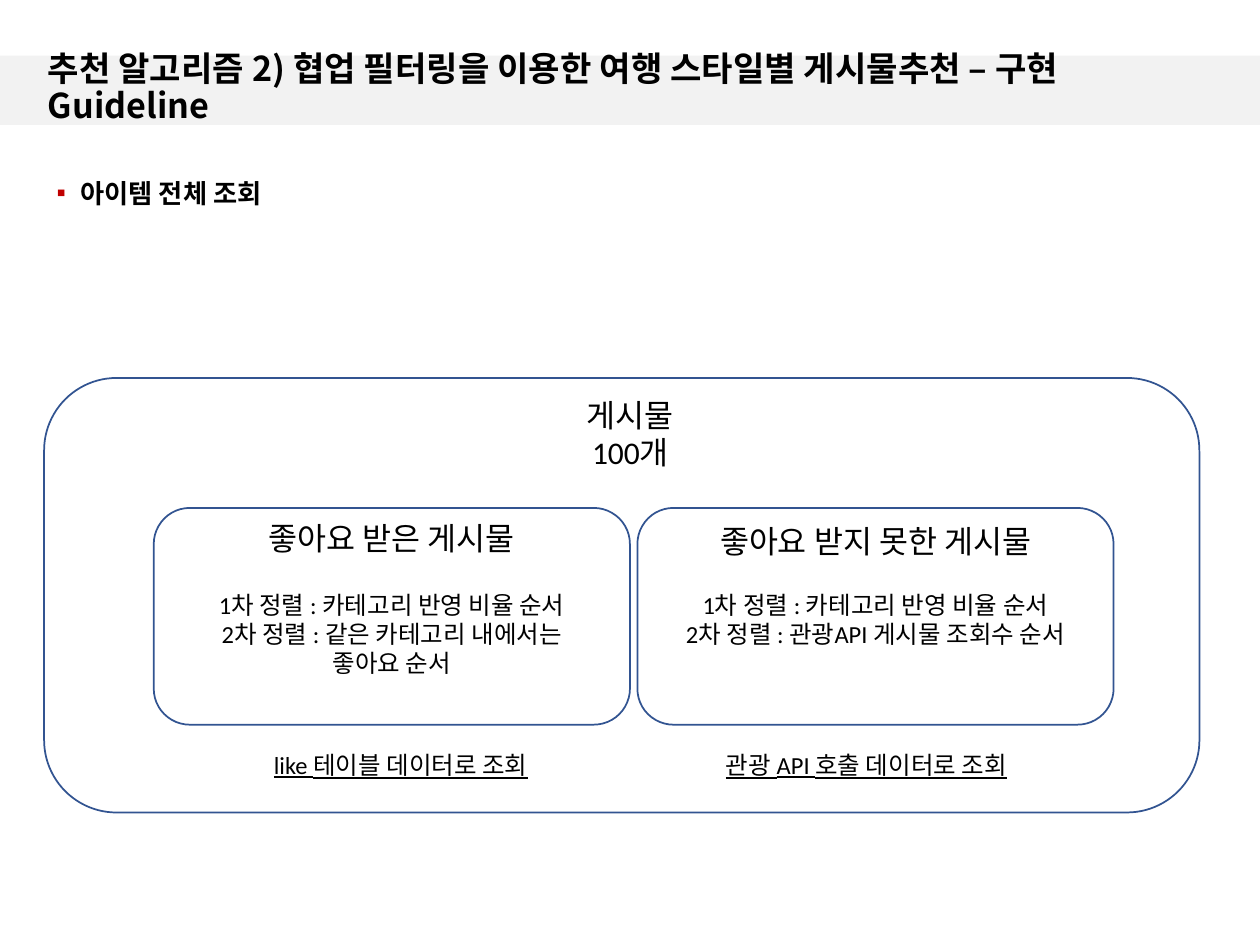
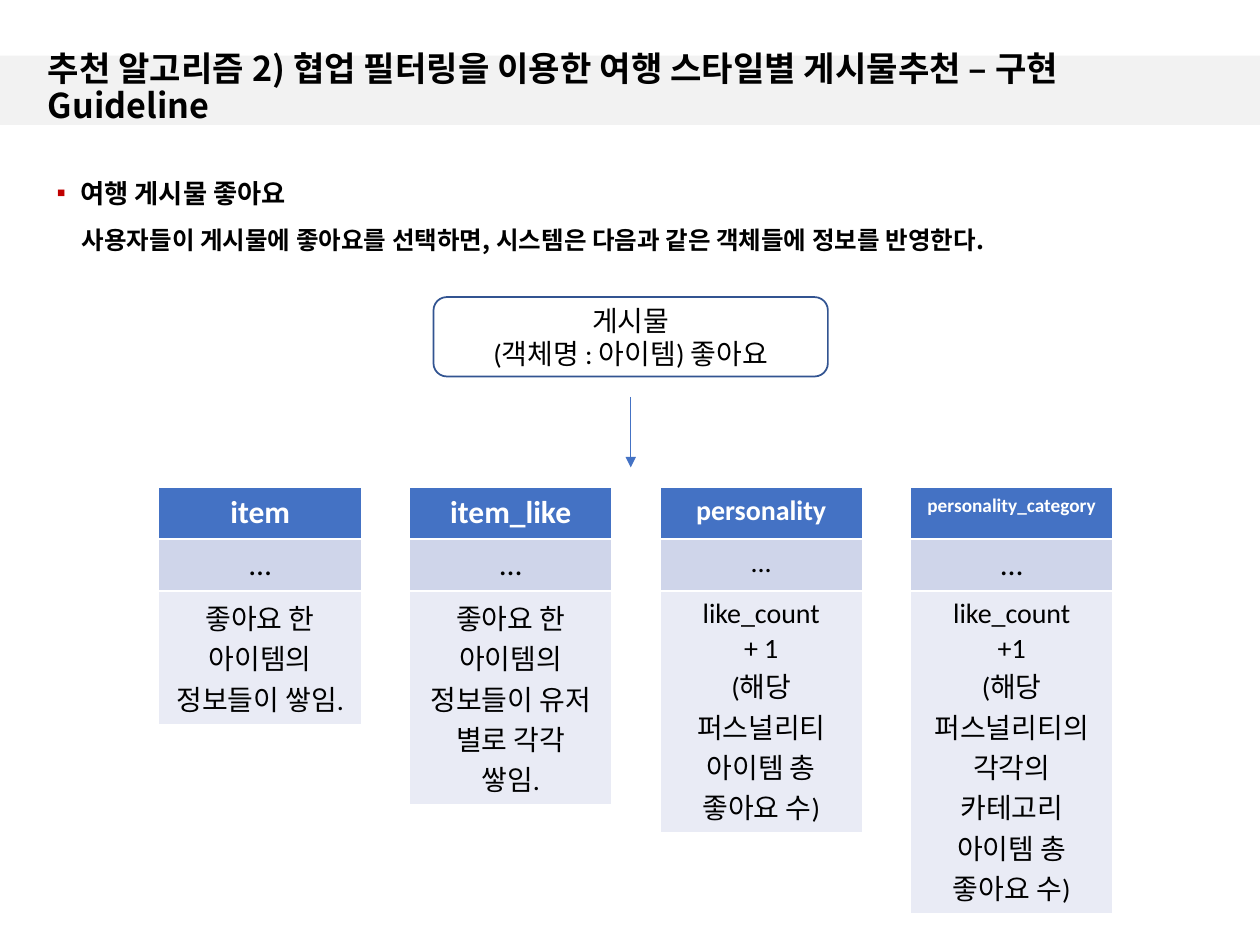
from lxml import etree
from pptx import Presentation
from pptx.dml.color import RGBColor
from pptx.enum import shapes, text
from pptx.oxml import ns
from pptx.util import Cm, Pt

BLACK = RGBColor(0x00, 0x00, 0x00)
WHITE = RGBColor(0xFF, 0xFF, 0xFF)
BAND_GREY = RGBColor(0xF2, 0xF2, 0xF2)
OUTLINE_BLUE = RGBColor(0x32, 0x54, 0x91)
HEADER_BLUE = RGBColor(0x44, 0x72, 0xC4)
ROW_BLUE = RGBColor(0xCF, 0xD5, 0xEA)
ROW_LIGHT = RGBColor(0xE9, 0xEB, 0xF5)
BULLET_RED = "C00000"

TITLE_FONT = "Noto Sans CJK KR"
BODY_FONT = "Calibri"
TITLE = "추천 알고리즘 2) 협업 필터링을 이용한 여행 스타일별 게시물추천 – 구현 Guideline"


def place(shape, left, top, width, height):
    shape.left, shape.top = Cm(left), Cm(top)
    shape.width, shape.height = Cm(width), Cm(height)


def write(frame, lines, size, bold=False, underline=False, color=BLACK,
          name=BODY_FONT, align=text.PP_ALIGN.CENTER):
    """Fill a text frame with one paragraph per line, all in one style."""
    frame.text = "\n".join(lines)
    frame.word_wrap = True
    for paragraph in frame.paragraphs:
        paragraph.alignment = align
        font = paragraph.font
        font.name, font.size, font.color.rgb = name, Pt(size), color
        font.bold, font.underline = bold, underline


def add_text(slide, left, top, width, height, lines, size, **style):
    box = slide.shapes.add_textbox(Cm(left), Cm(top), Cm(width), Cm(height))
    write(box.text_frame, lines, size, **style)
    return box


def add_outline(slide, left, top, width, height):
    shape = slide.shapes.add_shape(shapes.MSO_SHAPE.ROUNDED_RECTANGLE,
                                   Cm(left), Cm(top), Cm(width), Cm(height))
    shape.shadow.inherit = False
    shape.fill.background()
    shape.line.color.rgb = OUTLINE_BLUE
    shape.line.width = Pt(1)
    return shape


def style_heading(frame, lines, size):
    """Bold left-aligned text in the title face, vertically centred."""
    write(frame, lines, size, bold=True, name=TITLE_FONT, align=text.PP_ALIGN.LEFT)
    frame.vertical_anchor = text.MSO_ANCHOR.MIDDLE
    frame.auto_size = text.MSO_AUTO_SIZE.NONE
    frame.paragraphs[0].line_spacing = 0.9


def add_bullet(paragraph):
    properties = paragraph._p.get_or_add_pPr()
    indent = Cm(0.48)
    properties.set("marL", str(indent))
    properties.set("indent", str(-indent))
    color = etree.SubElement(properties, ns.qn("a:buClr"))
    etree.SubElement(color, ns.qn("a:srgbClr"), val=BULLET_RED)
    etree.SubElement(properties, ns.qn("a:buChar"), char="▪")


def add_band(slide):
    """Put the grey title band on the layout that the slides share."""
    band = slide.shapes.add_shape(shapes.MSO_SHAPE.RECTANGLE,
                                  Cm(0), Cm(1.12), Cm(25.4), Cm(1.4))
    band.shadow.inherit = False
    band.fill.solid()
    band.fill.fore_color.rgb = BAND_GREY
    band.line.fill.background()
    slide.slide_layout.shapes._spTree.insert(2, band._element)


def add_guideline_slide(presentation, topic):
    slide = presentation.slides.add_slide(presentation.slide_layouts[1])
    title, body = slide.placeholders
    place(title, 0.71, 1.09, 24, 1.42)
    style_heading(title.text_frame, [TITLE], 19.5)

    place(body, 0.89, 3.12, 23.6, 15.14)
    frame = body.text_frame
    frame.text = topic
    add_bullet(frame.paragraphs[0])
    paragraph = frame.paragraphs[0]
    paragraph.line_spacing = 1.5
    paragraph.space_before = Pt(0)
    font = paragraph.font
    font.name, font.size, font.bold, font.color.rgb = BODY_FONT, Pt(15), True, BLACK
    frame.auto_size = text.MSO_AUTO_SIZE.NONE
    return slide


def add_post_group(slide, left, top, width, height, name, name_top,
                   sorting, source, source_shift):
    """Outline one group of posts, with its sort order and its data source."""
    add_outline(slide, left, top, width, height)
    add_text(slide, left, top + name_top, width, 1.02, [name], 18)
    wide_left, wide = left - 0.19, width + 0.38
    add_text(slide, wide_left, top + 1.52, wide, 2.06, sorting, 14)
    add_text(slide, wide_left + source_shift, top + height + 0.38, wide, 0.86,
             [source], 14, underline=True)


def add_post_overview(slide, left, top, width, height):
    add_outline(slide, left, top, width, height)
    add_text(slide, left + 10.26, top + 0.23, 3.12, 1.8, ["게시물\v100개"], 18)
    groups = [
        ("좋아요 받은 게시물", 0.1,
         ["1차 정렬 : 카테고리 반영 비율 순서", "2차 정렬 : 같은 카테고리 내에서는",
          "좋아요 순서"],
         "like 테이블 데이터로 조회", 0.18),
        ("좋아요 받지 못한 게시물", 0.15,
         ["1차 정렬 : 카테고리 반영 비율 순서", "2차 정렬 : 관광API 게시물 조회수 순서"],
         "관광 API 호출 데이터로 조회", -0.18),
    ]
    for index, group in enumerate(groups):
        add_post_group(slide, left + 2.21 + index * 9.75, top + 2.62, 9.6, 4.37, *group)


def add_like_event(slide, left, top, width, height):
    """Draw the like event and the arrow that leaves it."""
    event = add_outline(slide, left, top, width, height)
    write(event.text_frame, ["게시물", "(객체명 : 아이템) 좋아요"], 16)
    event.text_frame.vertical_anchor = text.MSO_ANCHOR.MIDDLE

    middle, bottom = Cm(left + width / 2), top + height
    arrow = slide.shapes.add_connector(shapes.MSO_CONNECTOR.STRAIGHT, middle,
                                       Cm(bottom + 0.41), middle, Cm(bottom + 1.83))
    arrow.line.color.rgb = HEADER_BLUE
    arrow.line.width = Pt(0.5)
    etree.SubElement(arrow.line._get_or_add_ln(), ns.qn("a:tailEnd"), type="triangle")
    etree.SubElement(arrow._element.spPr, ns.qn("a:effectLst"))


def add_object_table(slide, left, top, width, name, name_size, dots, dots_size, effect):
    """Show one object as a header, an ellipsis row and the effect of a like."""
    heights = [1.04, 1.04, 2.3]
    table = slide.shapes.add_table(3, 1, Cm(left), Cm(top), Cm(width),
                                   Cm(sum(heights))).table
    rows = [
        ([name], name_size, HEADER_BLUE, WHITE),
        ([dots], dots_size, ROW_BLUE, BLACK),
        (effect, 16, ROW_LIGHT, BLACK),
    ]
    for index, (lines, size, fill, color) in enumerate(rows):
        table.rows[index].height = Cm(heights[index])
        cell = table.cell(index, 0)
        cell.fill.solid()
        cell.fill.fore_color.rgb = fill
        write(cell.text_frame, lines, size, bold=index == 0, color=color)


def add_object_tables(slide, left, top, width, pitch):
    objects = [
        ("item", 18, "…", 18, ["좋아요 한", "아이템의", "정보들이 쌓임."]),
        ("item_like", 18, "…", 18,
         ["좋아요 한", "아이템의", "정보들이 유저 별로 각각", "쌓임."]),
        ("personality", 16, "...", 16,
         ["like_count", "+ 1", "(해당 퍼스널리티 아이템 총 좋아요 수)"]),
        ("personality_category", 11, "…", 18,
         ["like_count", "+1", "(해당 퍼스널리티의 각각의 카테고리 아이템 총 좋아요 수)"]),
    ]
    for index, values in enumerate(objects):
        add_object_table(slide, left + index * pitch, top, width, *values)


def main():
    presentation = Presentation()
    presentation.slide_width, presentation.slide_height = Cm(25.4), Cm(19.05)

    items = add_guideline_slide(presentation, "아이템 전체 조회")
    add_band(items)
    add_post_overview(items, 0.89, 7.62, 23.29, 8.76)

    likes = add_guideline_slide(presentation, "여행 게시물 좋아요")
    add_like_event(likes, 8.74, 5.99, 7.95, 1.6)
    add_object_tables(likes, 3.2, 9.83, 4.09, 5.05)
    summary = add_text(likes, 1.4, 4.17, 24, 1.42, [], 14)
    style_heading(summary.text_frame, [
        "사용자들이 게시물에 좋아요를 선택하면, 시스템은 다음과 같은 객체들에 정보를 반영한다."], 14)

    presentation.save("out.pptx")


if __name__ == "__main__":
    main()
